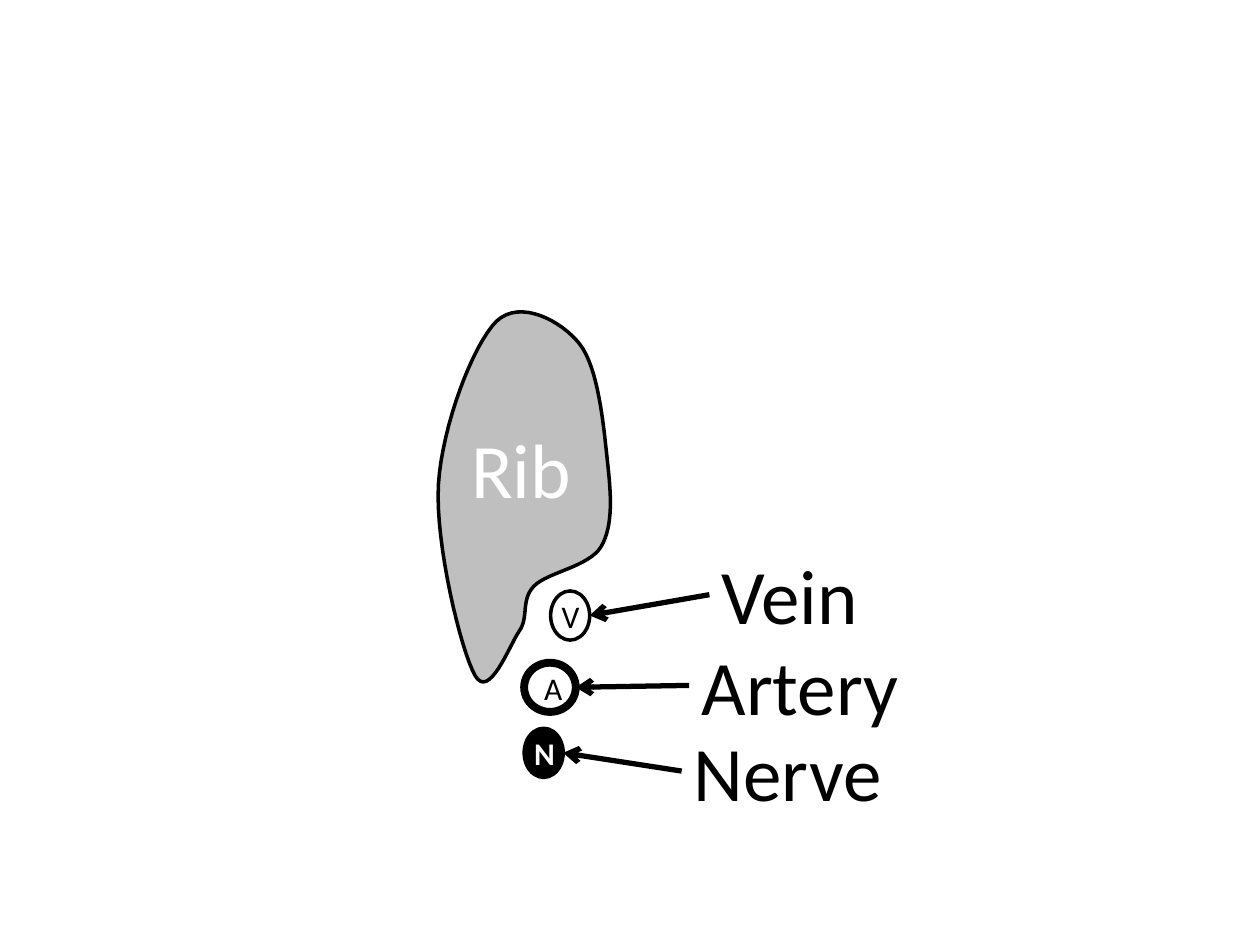
from pptx import Presentation
from pptx.dml.color import RGBColor
from pptx.enum.shapes import MSO_CONNECTOR, MSO_SHAPE
from pptx.enum.text import MSO_AUTO_SIZE
from pptx.oxml.ns import qn
from pptx.util import Inches, Pt
from lxml.etree import SubElement

FONT = "Calibri"
BLACK, WHITE, BONE = "000000", "FFFFFF", "BFBFBF"
LABEL_HEIGHT = 0.84
CURVE_STEPS = 16

# Rib outline in inches from its box: start, then two controls and an end per curve.
RIB_START = (0.79, 2.28)
RIB_CURVES = [
    ((0.90, 2.17), (1.22, 2.13), (1.32, 1.97)),
    ((1.42, 1.80), (1.40, 1.55), (1.37, 1.28)),
    ((1.34, 1.01), (1.30, 0.55), (1.15, 0.36)),
    ((1.01, 0.18), (0.68, 0.00), (0.49, 0.18)),
    ((0.30, 0.37), (0.06, 1.01), (0.03, 1.47)),
    ((0.00, 1.94), (0.21, 2.80), (0.32, 2.99)),
    ((0.43, 3.19), (0.59, 2.76), (0.67, 2.64)),
    ((0.75, 2.53), (0.68, 2.39), (0.79, 2.28)),
]

# Name, circle box, fill, line width, letter offset, label left and top, label width
VESSELS = [
    ("Vein", (4.37, 4.69, 0.31, 0.39), WHITE, 2, -0.01, (5.63, 4.30), 1.56),
    ("Artery", (4.16, 5.26, 0.41, 0.39), WHITE, 4.5, 0.06, (5.47, 5.02), 2.09),
    ("Nerve", (4.16, 5.78, 0.31, 0.39), BLACK, 2, -0.02, (5.41, 5.70), 1.86),
]


def color(hex_code):
    """Turn a hex string into a colour."""
    return RGBColor.from_string(hex_code)


def style(shape, fill, width):
    """Give a shape a flat fill and a black outline."""
    shape.shadow.inherit = False
    shape.fill.solid()
    shape.fill.fore_color.rgb = color(fill)
    shape.line.color.rgb = color(BLACK)
    shape.line.width = Pt(width)


def add_text(page, box, text, size, ink=BLACK, bold=False):
    """Place one line of text in a box that fits its text."""
    text_box = page.shapes.add_textbox(*map(Inches, box))
    frame = text_box.text_frame
    frame.word_wrap = True
    frame.auto_size = MSO_AUTO_SIZE.SHAPE_TO_FIT_TEXT
    span = frame.paragraphs[0].add_run()
    span.text = text
    span.font.name = FONT
    span.font.size = Pt(size)
    span.font.bold = bold
    span.font.color.rgb = color(ink)


def add_arrow(page, start, end):
    """Draw a black arrow from start to end."""
    arrow = page.shapes.add_connector(
        MSO_CONNECTOR.STRAIGHT, *map(Inches, start + end))
    arrow.line.color.rgb = color(BLACK)
    arrow.line.width = Pt(3)
    SubElement(arrow.line._get_or_add_ln(), qn("a:tailEnd"), type="arrow")
    SubElement(arrow._element.spPr, qn("a:effectLst"))


def curve_points(start, curves):
    """Yield points along a chain of cubic curves."""
    for first, second, end in curves:
        for step in range(1, CURVE_STEPS + 1):
            t = step / CURVE_STEPS
            u = 1 - t
            yield tuple(
                u ** 3 * a + 3 * u * u * t * b + 3 * u * t * t * c + t ** 3 * d
                for a, b, c, d in zip(start, first, second, end))
        start = end


def add_rib(page, left, top):
    """Draw the rib outline."""
    def place(point):
        return Inches(left + point[0]), Inches(top + point[1])

    builder = page.shapes.build_freeform(*place(RIB_START))
    builder.add_line_segments(
        [place(point) for point in curve_points(RIB_START, RIB_CURVES)])
    style(builder.convert_to_shape(), BONE, 2)


def add_vessel(page, name, box, fill, width, letter_offset, label_at, label_width):
    """Draw a lettered circle, its label and the arrow between them."""
    left, top, across, height = box
    circle = page.shapes.add_shape(MSO_SHAPE.OVAL, *map(Inches, box))
    style(circle, fill, width)
    filled = fill == BLACK
    add_text(page, (left + letter_offset, top, 0.39, 0.4), name[0], 18,
             WHITE if filled else BLACK, filled)
    add_text(page, label_at + (label_width, LABEL_HEIGHT), name, 44)
    add_arrow(page, (label_at[0], label_at[1] + LABEL_HEIGHT / 2),
              (left + across, top + height / 2))


def build_anatomy(page):
    """Place the rib, the three vessels and the rib's name."""
    add_rib(page, 3.45, 2.37)
    for vessel in VESSELS:
        add_vessel(page, *vessel)
    add_text(page, (3.64, 3.3, 1.56, LABEL_HEIGHT), "Rib", 44, WHITE)


deck = Presentation()
deck.slide_width, deck.slide_height = Inches(10), Inches(7.5)
build_anatomy(deck.slides.add_slide(deck.slide_layouts[6]))
deck.save("out.pptx")
